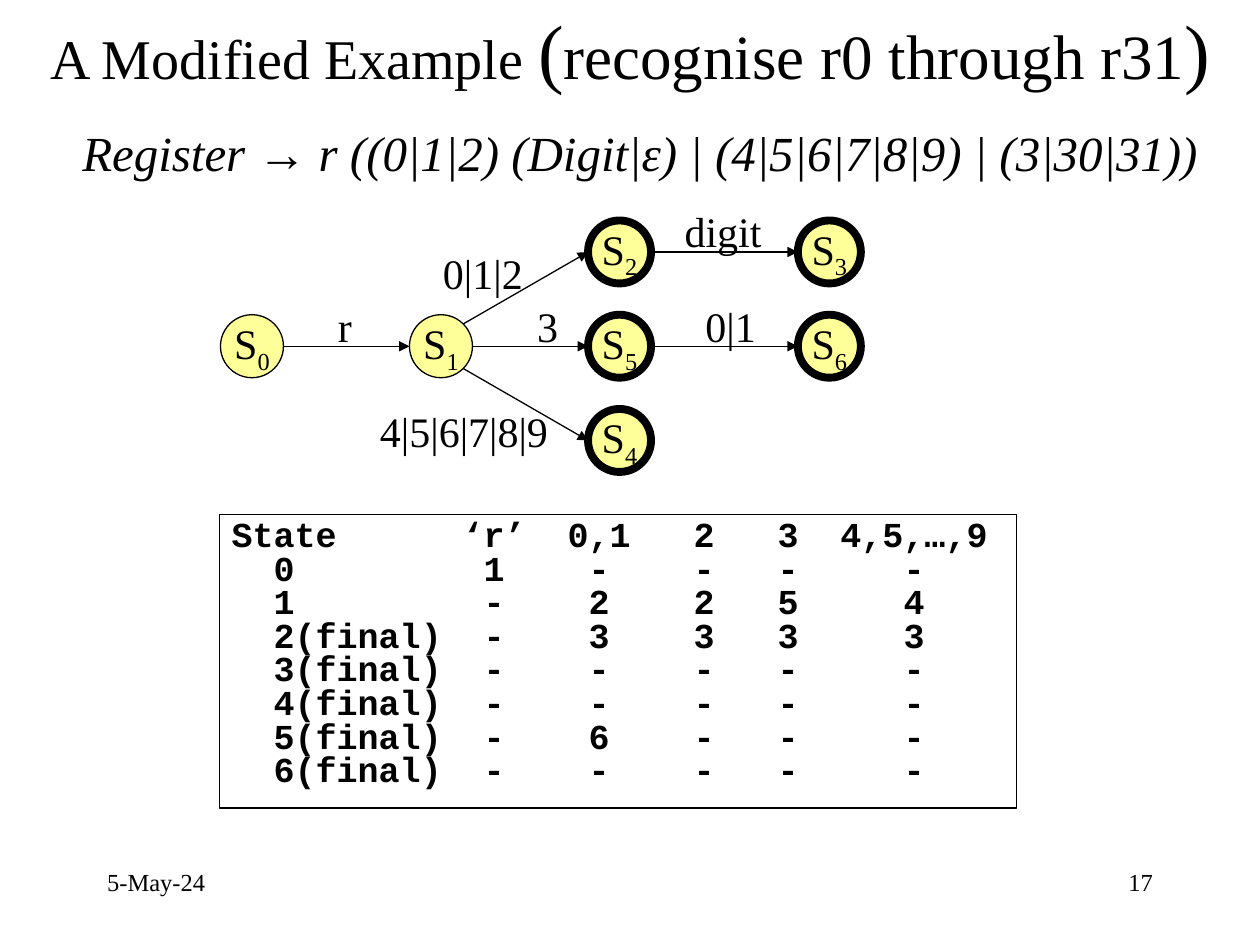
import math

import pptx
import pptx.dml.color
import pptx.enum.shapes
import pptx.enum.text
import pptx.oxml.ns
import pptx.util
from lxml import etree

Cm = pptx.util.Cm
Pt = pptx.util.Pt
ALIGN = pptx.enum.text.PP_ALIGN
ANCHOR = pptx.enum.text.MSO_ANCHOR
AUTO_SIZE = pptx.enum.text.MSO_AUTO_SIZE
SHAPE = pptx.enum.shapes.MSO_SHAPE
qn = pptx.oxml.ns.qn

BLACK = pptx.dml.color.RGBColor(0x00, 0x00, 0x00)
YELLOW = pptx.dml.color.RGBColor(0xFF, 0xFF, 0x99)
SERIF = "Times New Roman"
MONO = "Courier New"

DIAMETER = 1.27
RADIUS = DIAMETER / 2
DIAGONAL = RADIUS * math.sqrt(0.5)


class AutomatonSlide:
    """Holds the style and the slide being filled; lengths are in cm."""

    def __init__(self, presentation):
        self.slide = presentation.slides.add_slide(presentation.slide_layouts[5])
        self.shapes = self.slide.shapes

    def style(self, paragraph, size=None, name=SERIF, bold=None):
        font = paragraph.font
        font.name = name
        font.color.rgb = BLACK
        if size:
            font.size = Pt(size)
        if bold is not None:
            font.bold = bold

    def title(self, box, lines):
        """Each line is a list of (text, size, italic) pieces."""
        heading = self.shapes.title
        heading.left, heading.top, heading.width, heading.height = map(Cm, box)
        frame = heading.text_frame
        frame.auto_size = AUTO_SIZE.NONE
        frame.vertical_anchor = ANCHOR.MIDDLE
        paragraph = frame.paragraphs[0]
        paragraph.alignment = ALIGN.CENTER
        self.style(paragraph)
        for number, pieces in enumerate(lines):
            if number:
                paragraph.add_line_break()
            for text, size, italic in pieces:
                run = paragraph.add_run()
                run.text = text
                run.font.size = Pt(size)
                run.font.italic = italic

    def text(self, box, text, size, align=ALIGN.LEFT, wrap=True):
        frame = self.shapes.add_textbox(*map(Cm, box)).text_frame
        frame.word_wrap = wrap
        if not wrap:
            frame.auto_size = AUTO_SIZE.SHAPE_TO_FIT_TEXT
        paragraph = frame.paragraphs[0]
        paragraph.text = text
        paragraph.alignment = align
        self.style(paragraph, size)

    def outlined(self, kind, box, line_width, fill=None):
        shape = self.shapes.add_shape(kind, *map(Cm, box))
        shape.shadow.inherit = False
        if fill is None:
            shape.fill.background()
        else:
            shape.fill.solid()
            shape.fill.fore_color.rgb = fill
        shape.line.color.rgb = BLACK
        shape.line.width = Pt(line_width)
        return shape

    def state(self, center, number, final):
        x, y = center
        box = (x - RADIUS, y - RADIUS, DIAMETER, DIAMETER)
        circle = self.outlined(SHAPE.OVAL, box, 4.5 if final else 0.75, YELLOW)
        frame = circle.text_frame
        frame.word_wrap = False
        frame.vertical_anchor = ANCHOR.MIDDLE
        paragraph = frame.paragraphs[0]
        paragraph.alignment = ALIGN.CENTER
        self.style(paragraph, 24)
        paragraph.add_run().text = "S"
        subscript = paragraph.add_run()
        subscript.text = str(number)
        subscript._r.get_or_add_rPr().set("baseline", "-25000")

    def arrow(self, start, end):
        connector = self.shapes.add_connector(
            pptx.enum.shapes.MSO_CONNECTOR.STRAIGHT, *map(Cm, start + end))
        connector.line.color.rgb = BLACK
        connector.line.width = Pt(0.75)
        line = connector.line._get_or_add_ln()
        etree.SubElement(line, qn("a:tailEnd"), type="triangle")
        etree.SubElement(connector._element.spPr, qn("a:effectLst"))

    def tabbed_rows(self, box, rows, stops, size):
        """Rows of tab-separated cells; stops are (points, alignment)."""
        frame = self.outlined(SHAPE.RECTANGLE, box, 0.75).text_frame
        frame.word_wrap = True
        frame.vertical_anchor = ANCHOR.TOP
        for number, row in enumerate(rows):
            paragraph = frame.add_paragraph() if number else frame.paragraphs[0]
            paragraph.text = "\t".join(row)
            paragraph.alignment = ALIGN.LEFT
            paragraph.line_spacing = 0.8
            tabs = etree.SubElement(paragraph._p.get_or_add_pPr(), qn("a:tabLst"))
            for position, align in stops:
                etree.SubElement(tabs, qn("a:tab"), pos=str(Pt(position)), algn=align)
            self.style(paragraph, size, MONO, bold=True)


def main():
    presentation = pptx.Presentation()
    presentation.slide_width = Cm(25.4)
    presentation.slide_height = Cm(19.05)
    page = AutomatonSlide(presentation)

    # Title with the regular expression
    page.title((0.43, 0.22, 24.56, 3.38), [
        [("A Modified Example ", 32, False), ("(", 44, False),
         ("recognise r0 through r31", 36, False), (")", 44, False)],
        [(" ", 44, False),
         ("Register → r ((0|1|2) (Digit|ε) | (4|5|6|7|8|9) | (3|30|31))", 28, True)],
    ])

    # Transition table: tab stops follow the 12 pt character grid
    char = 12
    stops = [(2 * char, "l")]
    stops += [(column * char, "ctr") for column in (12.5, 17.5, 22.5, 26.5, 32.5)]
    transitions = ["1----", "-2254", "-3333", "-----", "-----", "-6---", "-----"]
    rows = [["State", "‘r’", "0,1", "2", "3", "4,5,…,9"]]
    for number, targets in enumerate(transitions):
        label = f"{number}(final)" if number >= 2 else str(number)
        rows.append(["", label, *targets])
    page.tabbed_rows((4.42, 10.37, 16.08, 5.92), rows, stops, 20)

    # States, by centre
    middle, step = 6.98, 1.9
    upper, lower = middle - step, middle + step
    start_x, branch_x, accept_x, last_x = 5.08, 8.89, 12.49, 16.72
    states = [(start_x, middle), (branch_x, middle), (accept_x, upper),
              (last_x, upper), (accept_x, lower), (accept_x, middle),
              (last_x, middle)]
    for number, center in enumerate(states):
        page.state(center, number, final=number >= 2)

    # Transitions: level ones leave at the side, sloping ones at 45 degrees
    for source, target in [(0, 1), (1, 2), (2, 3), (1, 5), (5, 6), (1, 4)]:
        (x1, y1), (x2, y2) = states[source], states[target]
        if y1 == y2:
            start = (x1 + RADIUS, y1)
        else:
            start = (x1 + DIAGONAL, y1 + math.copysign(DIAGONAL, y2 - y1))
        page.arrow(start, (x2 - RADIUS, y2))

    # Transition labels
    for left, top, width, symbols in [
        (6.56, 5.93, 0.8, "r"), (8.68, 4.87, 2.14, "0|1|2"),
        (13.55, 4.02, 2.08, "digit"), (10.58, 5.93, 0.95, "3"),
        (13.97, 5.93, 1.54, "0|1"), (7.41, 8.04, 3.94, "4|5|6|7|8|9"),
    ]:
        page.text((left, top, width, 1.27), symbols, 24, wrap=False)

    # Footer
    page.text((1.91, 17.35, 5.29, 1.27), "5-May-24", 14)
    page.text((18.2, 17.35, 5.29, 1.27), "17", 14, ALIGN.RIGHT)

    presentation.save("out.pptx")


if __name__ == "__main__":
    main()
